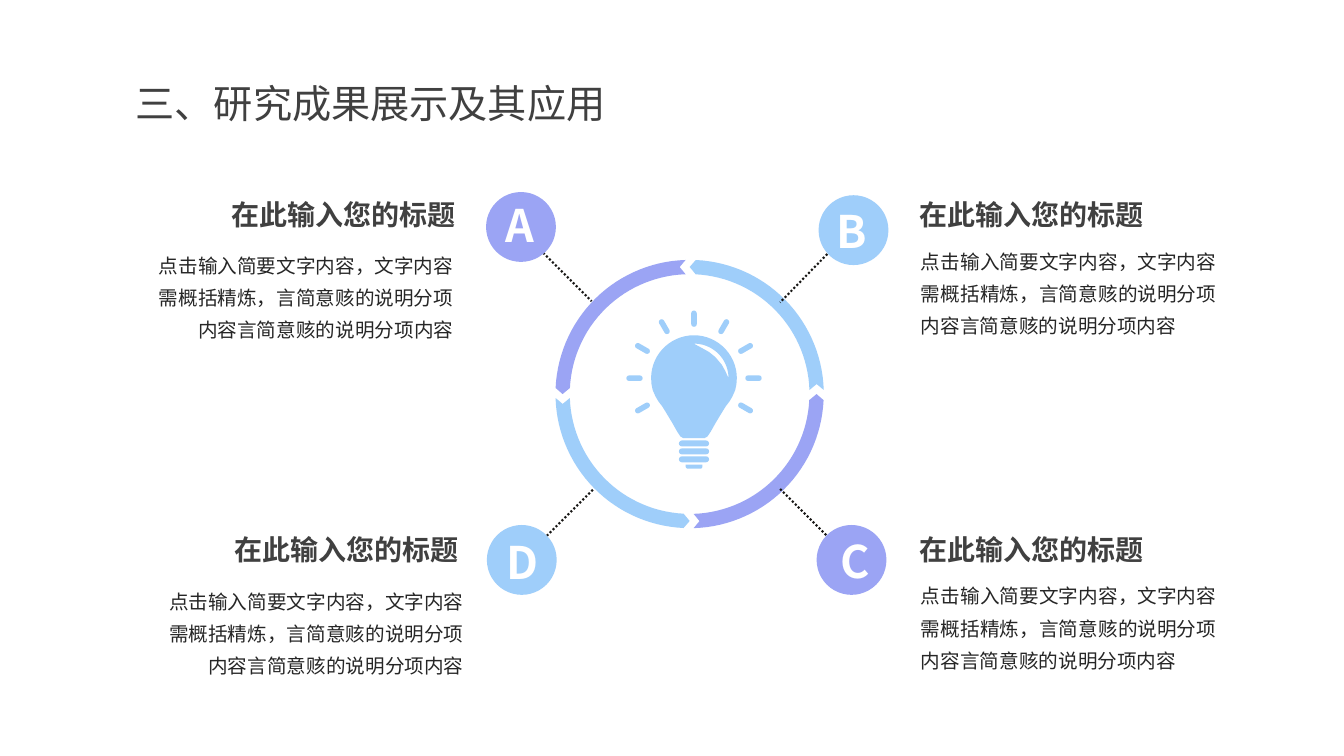
from math import cos, radians, sin

from lxml.etree import SubElement
from pptx import Presentation
from pptx.dml.color import RGBColor
from pptx.enum.dml import MSO_LINE
from pptx.enum.shapes import MSO_CONNECTOR, MSO_SHAPE
from pptx.enum.text import MSO_AUTO_SIZE, PP_ALIGN
from pptx.oxml.ns import qn
from pptx.util import Cm, Pt

BLUE = RGBColor(0x9F, 0xCE, 0xFA)
PURPLE = RGBColor(0x9B, 0xA4, 0xF4)
WHITE = RGBColor(0xFF, 0xFF, 0xFF)
HEADING_GREY = RGBColor(0x40, 0x40, 0x40)
BODY_GREY = RGBColor(0x26, 0x26, 0x26)
DOT_BLACK = RGBColor(0x18, 0x17, 0x15)

HEADING = "在此输入您的标题"
BODY = "点击输入简要文字内容，文字内容需概括精炼，言简意赅的说明分项内容言简意赅的说明分项内容"

TITLE_STYLE = {"size": Pt(28)}
HEADING_STYLE = {"size": Pt(20), "bold": True}
BODY_STYLE = {"size": Pt(14)}
LETTER_STYLE = {"size": Pt(32), "bold": True}


def arc(radius, start, end, steps=30):
    """Points on a circle round the origin, angles in degrees, y downwards."""
    angles = [radians(start + (end - start) * i / steps) for i in range(steps + 1)]
    return [(radius * cos(a), radius * sin(a)) for a in angles]


class Canvas:
    font_name = "Noto Sans CJK SC"

    def __init__(self, slide):
        self.shapes = slide.shapes

    def paint(self, shape, color):
        shape.shadow.inherit = False
        shape.fill.solid()
        shape.fill.fore_color.rgb = color
        shape.line.fill.background()
        return shape

    def preset(self, kind, left, top, width, height, color, rotation=0):
        shape = self.shapes.add_shape(kind, Cm(left), Cm(top), Cm(width), Cm(height))
        shape.rotation = rotation
        return self.paint(shape, color)

    def outline(self, centre, contours, color):
        builder = None
        for contour in contours:
            points = [(Cm(centre[0] + x), Cm(centre[1] + y)) for x, y in contour]
            if builder is None:
                builder = self.shapes.build_freeform(*points[0], scale=1.0)
            else:
                builder.move_to(*points[0])
            builder.add_line_segments(points[1:], close=True)
        return self.paint(builder.convert_to_shape(), color)

    def dotted_line(self, start, end):
        line = self.shapes.add_connector(
            MSO_CONNECTOR.STRAIGHT, *[Cm(v) for v in (*start, *end)])
        line_format = {"width": Pt(1.5), "dash_style": MSO_LINE.ROUND_DOT}
        line.line.color.rgb = DOT_BLACK
        for name, value in line_format.items():
            setattr(line.line, name, value)
        SubElement(line._element.spPr, qn("a:effectLst"))

    def text(self, words, place, size, style, color,
             align=PP_ALIGN.LEFT, spacing=None, wrap=True):
        box = self.shapes.add_textbox(*[Cm(v) for v in (*place, *size)])
        frame_format = {"word_wrap": wrap, "auto_size": MSO_AUTO_SIZE.SHAPE_TO_FIT_TEXT}
        for name, value in frame_format.items():
            setattr(box.text_frame, name, value)
        paragraph = box.text_frame.paragraphs[0]
        for name, value in {"alignment": align, "line_spacing": spacing}.items():
            setattr(paragraph, name, value)
        run = paragraph.add_run()
        run.text = words
        for name, value in {"name": self.font_name, **style}.items():
            setattr(run.font, name, value)
        run.font.color.rgb = color
        SubElement(run._r.get_or_add_rPr(), qn("a:ea"), typeface=self.font_name)


def draw_ring(canvas):
    centre, outer, inner = (17.38, 9.93), 3.38, 3.02
    middle = (outer + inner) / 2
    # Upper right quarter: pointed start, notched end
    quarter = [(0, -middle), *arc(outer, -87.4, -1.7), (middle, -0.25),
               *arc(inner, -1.9, -87.1)]
    for color in (BLUE, PURPLE, BLUE, PURPLE):
        canvas.outline(centre, [quarter], color)
        quarter = [(y, -x) for x, y in quarter]


def draw_bulb(canvas):
    x, y = centre = (17.49, 9.53)
    # Glass with a highlight cut out
    side = [(1.07, 0.15), (1.04, 0.3), (0.97, 0.46), (0.9, 0.58), (0.8, 0.71),
            (0.72, 0.84), (0.55, 1.12), (0.42, 1.35), (0.34, 1.47), (0.27, 1.51)]
    glass = arc(1.08, -180, 0) + side + [(-dx, dy) for dx, dy in reversed(side)]
    highlight = arc(0.87, -90, 0) + [(0.79, -0.18), (0.7, -0.34), (0.54, -0.53),
                                     (0.38, -0.66), (0.2, -0.76), (0.05, -0.84)]
    canvas.outline(centre, [glass, highlight], BLUE)
    # Screw base
    for i in range(3):
        bar = canvas.preset(MSO_SHAPE.ROUNDED_RECTANGLE,
                            x - 0.38, 11.1 + 0.2 * i, 0.76, 0.15, BLUE)
        bar.adjustments[0] = 0.5
    cap = canvas.preset(MSO_SHAPE.ROUND_2_SAME_RECTANGLE,
                        x - 0.21, 11.71, 0.42, 0.1, BLUE, rotation=180)
    cap.adjustments[0] = 0.5
    # Rays every 30 degrees
    length, width, distance = 0.41, 0.14, 1.5
    for angle in range(-210, 31, 30):
        ray_x = x + distance * cos(radians(angle))
        ray_y = y + distance * sin(radians(angle))
        ray = canvas.preset(MSO_SHAPE.ROUNDED_RECTANGLE, ray_x - length / 2,
                            ray_y - width / 2, length, width, BLUE, rotation=angle)
        ray.adjustments[0] = 0.5


# letter, colour, dotted line, circle, letter place and width, heading, body, body alignment
TOPICS = [
    ("A", PURPLE, ((13.39, 6.07), (14.91, 7.59)), (12.25, 4.84), (12.5, 4.85), 1.24,
     (5.59, 4.84), (3.73, 6.05), PP_ALIGN.RIGHT),
    ("B", BLUE, ((20.85, 6.4), (19.66, 7.62)), (20.63, 4.92), (20.84, 5), 1.3,
     (22.92, 4.84), (22.96, 5.95), PP_ALIGN.JUSTIFY),
    ("C", PURPLE, ((19.66, 12.32), (21.26, 13.92)), (20.58, 13.23), (20.93, 13.32), 1.27,
     (22.92, 13.3), (22.96, 14.38), PP_ALIGN.JUSTIFY),
    ("D", BLUE, ((14.94, 12.34), (13.34, 13.94)), (12.27, 13.23), (12.52, 13.34), 1.35,
     (5.66, 13.3), (3.99, 14.52), PP_ALIGN.RIGHT),
]


def main():
    deck = Presentation()
    deck.slide_width, deck.slide_height = Cm(33.87), Cm(19.05)
    canvas = Canvas(deck.slides.add_slide(deck.slide_layouts[6]))

    # Title
    canvas.text("三、研究成果展示及其应用", (3.17, 1.87), (12.4, 1.45),
                TITLE_STYLE, HEADING_GREY)

    # Central emblem
    draw_ring(canvas)
    draw_bulb(canvas)

    # Four lettered topics
    for (letter, color, link, circle, letter_place, letter_width,
         heading_place, body_place, body_align) in TOPICS:
        canvas.dotted_line(*link)
        canvas.preset(MSO_SHAPE.OVAL, *circle, 1.76, 1.76, color)
        canvas.text(letter, letter_place, (letter_width, 1.63), LETTER_STYLE, WHITE,
                    wrap=False)
        canvas.text(HEADING, heading_place, (6.38, 1.12), HEADING_STYLE, HEADING_GREY,
                    PP_ALIGN.JUSTIFY)
        canvas.text(BODY, body_place, (7.95, 2.62), BODY_STYLE, BODY_GREY,
                    body_align, Pt(23))

    deck.save("out.pptx")


if __name__ == "__main__":
    main()
